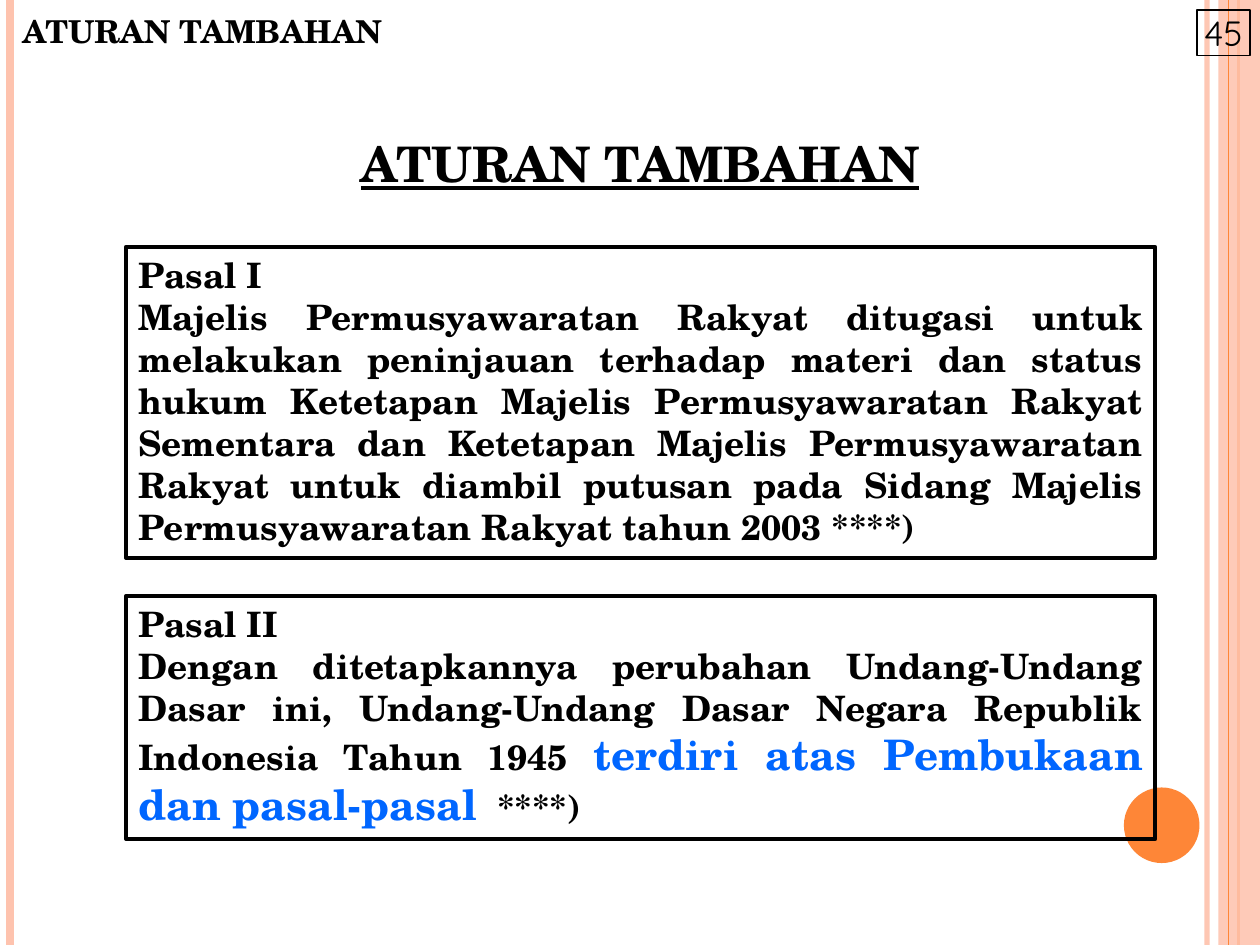
"""Build the ATURAN TAMBAHAN slide with its two boxed articles."""
from lxml import etree
from pptx import Presentation
from pptx import util as u
from pptx.dml.color import RGBColor
from pptx.enum import shapes, text
from pptx.oxml.ns import qn

THEME = {
    "font": "TeX Gyre Schola", "number_font": "Quicksand",
    "ink": "000000", "highlight": "0066FF", "peach": "FEC3AE", "orange": "FE8637",
    "header": 18, "title": 28, "body": 20, "emphasis": 24,
}
SLIDE_SIZE = (10, 7.5)
HEADING = "ATURAN TAMBAHAN"
PAGE_NUMBER = "45"
LEFT_RULES = [(9.58, "peach", 3, 93), (0.08, "peach", 4.5, 100), (9.83, "orange", 1.5, 100)]
TOP_RULES = [(9.75, "orange", 0.75, 100)]
ARTICLES = [
    (1.96, 2.47, "Pasal I", [
        ("Majelis Permusyawaratan Rakyat ditugasi untuk melakukan peninjauan terhadap "
         "materi dan status hukum Ketetapan Majelis Permusyawaratan Rakyat Sementara dan "
         "Ketetapan Majelis Permusyawaratan Rakyat untuk diambil putusan pada Sidang "
         "Majelis Permusyawaratan Rakyat tahun 2003 ****) ", "body", "ink")]),
    (4.73, 1.93, "Pasal II", [
        ("Dengan ditetapkannya perubahan Undang-Undang Dasar ini, Undang-Undang Dasar "
         "Negara Republik Indonesia Tahun 1945 ", "body", "ink"),
        ("terdiri atas Pembukaan dan pasal-pasal", "emphasis", "highlight"),
        ("  ****)", "body", "ink")]),
]


def color(name):
    return RGBColor.from_string(THEME[name])


def set_opacity(shape, percent):
    if percent < 100:
        tint = next(shape._element.spPr.iter(qn("a:srgbClr")))
        etree.SubElement(tint, qn("a:alpha"), val=str(percent * 1000))


def add_rules(slide, rules):
    for x, name, width, opacity in rules:
        rule = slide.shapes.add_connector(
            shapes.MSO_CONNECTOR.STRAIGHT, u.Inches(x), 0, u.Inches(x), u.Inches(SLIDE_SIZE[1]))
        rule.line.color.rgb = color(name)
        rule.line.width = u.Pt(width)
        set_opacity(rule, opacity)
        etree.SubElement(rule._element.spPr, qn("a:effectLst"))


def add_shape(slide, kind, bounds, fill=None, line_width=None, opacity=100):
    shape = slide.shapes.add_shape(kind, *map(u.Inches, bounds))
    shape.shadow.inherit = False
    if fill:
        shape.fill.solid()
        shape.fill.fore_color.rgb = color(fill)
        set_opacity(shape, opacity)
    else:
        shape.fill.background()
    if line_width:
        shape.line.color.rgb = color("ink")
        shape.line.width = u.Pt(line_width)
    else:
        shape.line.fill.background()
    return shape


def style(font, size, ink="ink", bold=True, face="font"):
    font.name = THEME[face]
    font.size = u.Pt(THEME[size])
    font.bold = bold
    font.color.rgb = color(ink)


def write(frame, content, size, alignment, **options):
    frame.word_wrap = True
    paragraph = frame.paragraphs[0]
    paragraph.text = content
    paragraph.alignment = alignment
    style(paragraph.font, size, **options)
    return paragraph


def clear_margins(frame):
    frame.margin_left = frame.margin_right = frame.margin_top = frame.margin_bottom = 0
    frame.vertical_anchor = text.MSO_ANCHOR.MIDDLE


def add_article(slide, top, height, heading, runs):
    box = add_shape(slide, shapes.MSO_SHAPE.RECTANGLE, (1, top, 8.17, height), line_width=2.25)
    frame = box.text_frame
    frame.vertical_anchor = text.MSO_ANCHOR.TOP
    write(frame, heading, "body", text.PP_ALIGN.JUSTIFY)
    paragraph = frame.add_paragraph()
    paragraph.alignment = text.PP_ALIGN.JUSTIFY
    for content, size, ink in runs:
        run = paragraph.add_run()
        run.text = content
        style(run.font, size, ink)


def main():
    presentation = Presentation()
    presentation.slide_width, presentation.slide_height = map(u.Inches, SLIDE_SIZE)
    slide = presentation.slides.add_slide(presentation.slide_layouts.get_by_name("Title Only"))

    add_rules(slide, LEFT_RULES)
    add_shape(slide, shapes.MSO_SHAPE.RECTANGLE, (9.67, 0, 0.33, 7.5), "peach", opacity=87)
    add_rules(slide, TOP_RULES)
    add_shape(slide, shapes.MSO_SHAPE.OVAL, (8.92, 6.25, 0.6, 0.6), "orange")
    for article in ARTICLES:
        add_article(slide, *article)

    header = slide.shapes.add_textbox(*map(u.Inches, (0.08, 0.05, 5.06, 0.26)))
    write(header.text_frame, HEADING, "header", text.PP_ALIGN.JUSTIFY)

    title = slide.shapes.title
    title.left, title.top, title.width, title.height = map(u.Inches, (2.83, 0.71, 4.5, 1.17))
    title.text_frame.auto_size = text.MSO_AUTO_SIZE.NONE
    clear_margins(title.text_frame)
    write(title.text_frame, HEADING, "title", text.PP_ALIGN.CENTER).font.underline = True

    number = add_shape(slide, shapes.MSO_SHAPE.RECTANGLE, (9.5, 0.08, 0.42, 0.36), line_width=0.75)
    clear_margins(number.text_frame)
    write(number.text_frame, PAGE_NUMBER, "body", text.PP_ALIGN.CENTER,
          bold=False, face="number_font")

    presentation.save("out.pptx")


if __name__ == "__main__":
    main()
